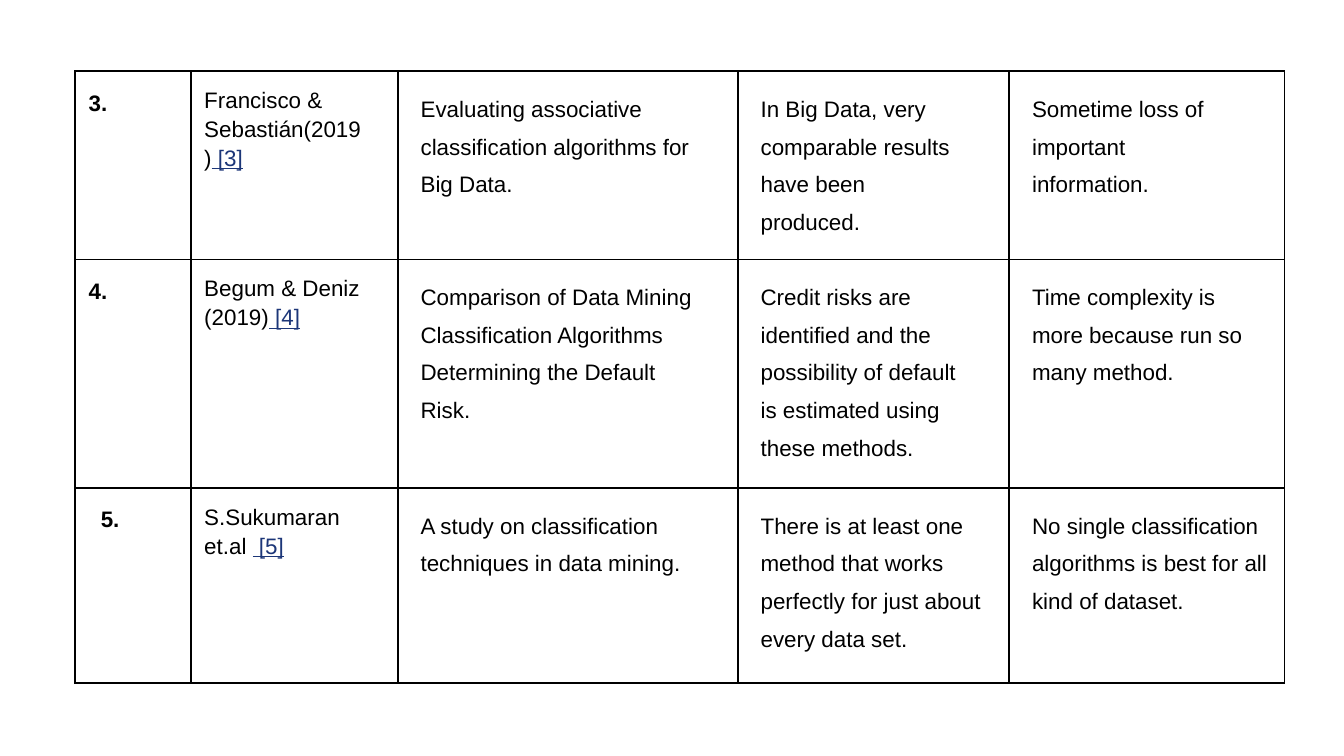
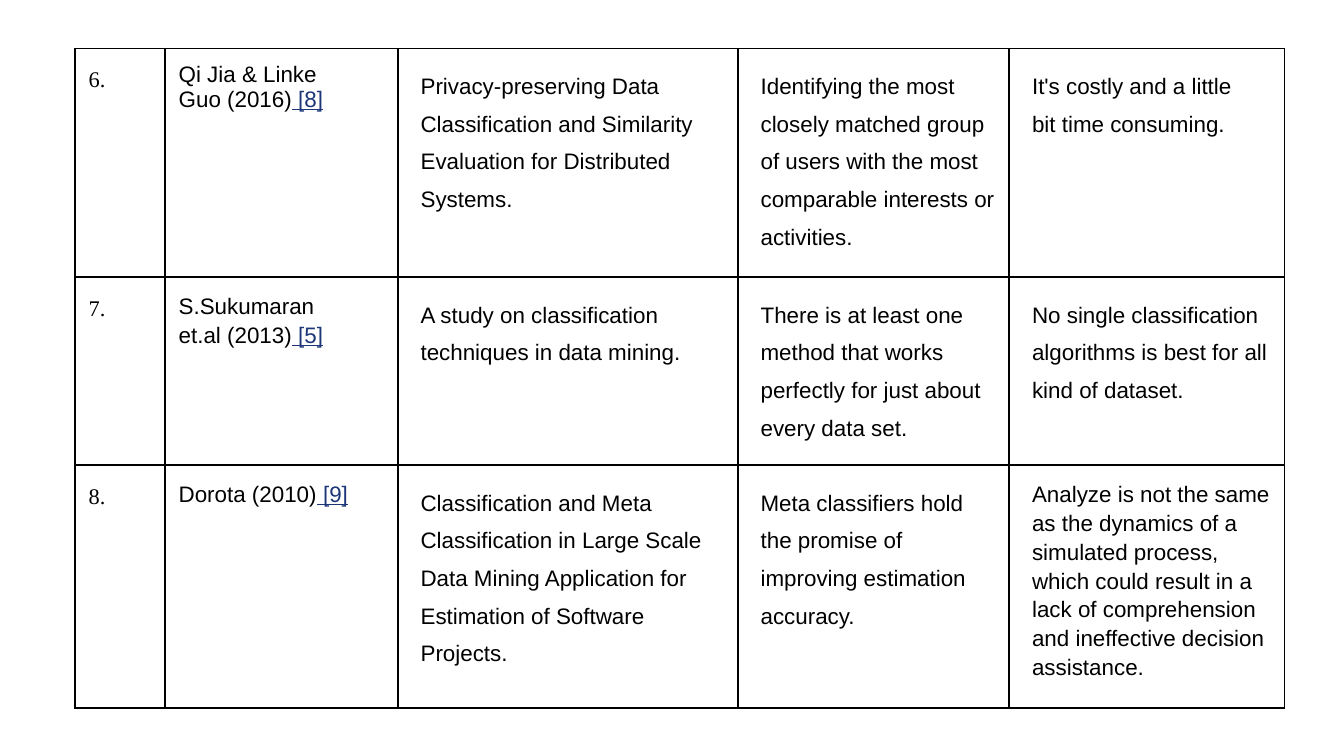
from pptx import Presentation
from pptx import util as u
from pptx.dml import color
from pptx.oxml import parse_xml
from pptx.oxml import ns

HUES = {"ink": "000000", "link": "1C3678", "page": "FFFFFF"}
SANS, SERIF = "Arial", "Times New Roman"
LEFT, PAD, SHIFT = 0.56, 0.1, 0.07
WIDE = (2.53, 2.02, 2.05)
TRIMS = (0.15, 0.22, 0.19)

PAGES = [
    {
        "top": 0.53, "cols": (0.86, 1.54) + WIDE, "highs": (1.4, 1.7, 1.45),
        "num": {"font": SANS, "bold": True}, "trim": 0.15,
        "rows": [
            ("3.", "Francisco & Sebastián(2019)", " [3]",
             "Evaluating associative classification algorithms for Big Data.",
             "In Big Data, very comparable results have been produced.",
             "Sometime loss of important information."),
            ("4.", "Begum & Deniz (2019)", " [4]",
             "Comparison of Data Mining Classification Algorithms Determining the Default Risk.",
             "Credit risks are identified and the possibility of default is estimated using these methods.",
             "Time complexity is more because run so many method."),
            ("5.", "S.Sukumaran et.al ", " [5]",
             "A study on classification techniques in data mining.",
             "There is at least one method that works perfectly for just about every data set.",
             "No single classification algorithms is best for all kind of dataset."),
        ],
        "odd": {(2, 0): {"dent": 0.09}, (2, 3): {"trim": 0}, (2, 4): {"trim": 0}},
    },
    {
        "top": 0.36, "cols": (0.67, 1.73) + WIDE, "highs": (1.7, 1.4, 1.81),
        "num": {"font": SERIF}, "trim": 0.2,
        "rows": [
            ("6.", "Qi Jia & Linke Guo (2016)", " [8]",
             "Privacy-preserving Data Classification and Similarity Evaluation for Distributed Systems.",
             "Identifying the most closely matched group of users with the most comparable interests or activities.",
             "It's costly and a little bit time consuming."),
            ("7.", "S.Sukumaran et.al (2013)", " [5]",
             "A study on classification techniques in data mining.",
             "There is at least one method that works perfectly for just about every data set.",
             "No single classification algorithms is best for all kind of dataset."),
            ("8.", "Dorota (2010)", " [9]",
             "Classification and Meta Classification in Large Scale Data Mining Application "
             "for Estimation of Software Projects.",
             "Meta classifiers hold the promise of improving estimation accuracy.",
             "Analyze is not the same as the dynamics of a simulated process, which could result "
             "in a lack of comprehension and ineffective decision assistance."),
        ],
        "odd": {(0, 1): {"lead": 1.0}, (0, 3): {"trim": 0},
                (1, 3): {"trim": 0}, (1, 4): {"trim": 0},
                (2, 1): {"lead": 1.14}, (2, 4): {"lead": 1.15, "trim": 0}},
    },
]


def tint(name):
    return color.RGBColor.from_string(HUES[name])


def write(cell, words, cite="", font=SANS, bold=False, lead=1.5, dent=0, trim=0):
    para = cell.text_frame.paragraphs[0]
    para.line_spacing = lead
    props = para._p.get_or_add_pPr()
    props.set("marL", str(u.Inches(dent)))
    props.set("marR", str(u.Inches(trim)))
    for part, hue in ((words, "ink"), (cite, "link")):
        if part:
            run = para.add_run()
            run.text = part
            run.font.name = font
            run.font.size = u.Pt(12)
            run.font.bold = bold
            run.font.underline = hue == "link"
            run.font.color.rgb = tint(hue)


def frame(cell):
    cell.margin_left = cell.margin_right = u.Inches(PAD)
    cell.margin_top = cell.margin_bottom = u.Inches(PAD)
    cell.fill.solid()
    cell.fill.fore_color.rgb = tint("page")
    props = cell._tc.get_or_add_tcPr()
    for spot, side in enumerate("LRTB"):
        props.insert(spot, parse_xml(
            f'<a:ln{side} {ns.nsdecls("a")} w="{u.Pt(1)}"><a:solidFill>'
            f'<a:srgbClr val="{HUES["ink"]}"/></a:solidFill></a:ln{side}>'))


def build(deck, page):
    slide = deck.slides.add_slide(deck.slide_layouts[6])
    cols, highs = page["cols"], page["highs"]
    grid = slide.shapes.add_table(
        len(highs), len(cols), u.Inches(LEFT), u.Inches(page["top"]),
        u.Inches(sum(cols)), u.Inches(sum(highs))).table
    grid.first_row = grid.horz_banding = False
    for col, wide in zip(grid.columns, cols):
        col.width = u.Inches(wide)
    for row, high in zip(grid.rows, highs):
        row.height = u.Inches(high)
    for r, (num, name, cite, *notes) in enumerate(page["rows"]):
        looks = [{"lead": 1.24, **page["num"]},
                 {"lead": 1.15, "cite": cite, "trim": page["trim"]}]
        looks += [{"dent": SHIFT, "trim": trim} for trim in TRIMS]
        for c, (words, look) in enumerate(zip([num, name, *notes], looks)):
            cell = grid.cell(r, c)
            frame(cell)
            write(cell, words, **{**look, **page["odd"].get((r, c), {})})


def main():
    deck = Presentation()
    deck.slide_width = u.Inches(10)
    deck.slide_height = deck.slide_width * 9 // 16
    for page in PAGES:
        build(deck, page)
    deck.save("out.pptx")


if __name__ == "__main__":
    main()
